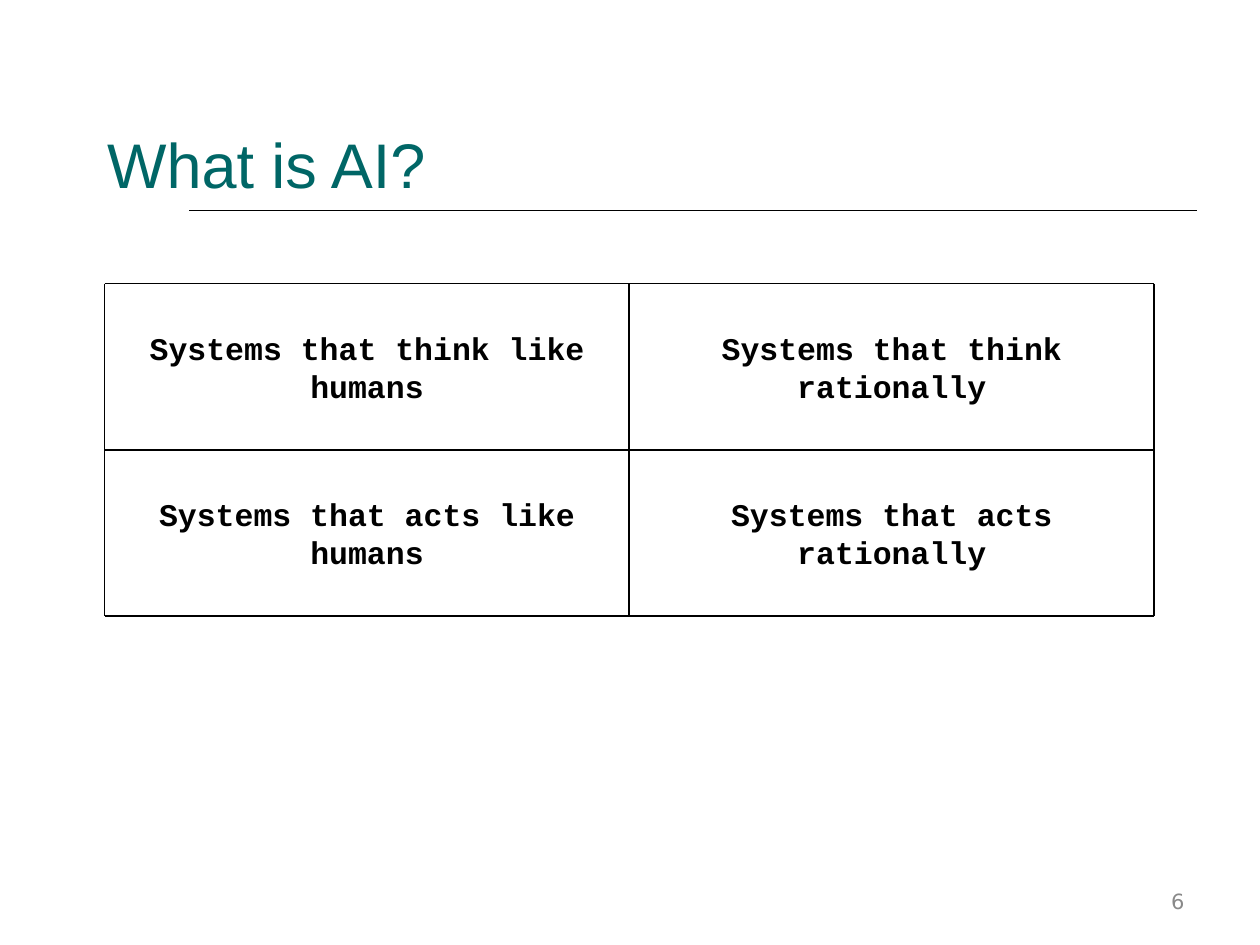
from lxml import etree
from pptx import Presentation
from pptx.dml.color import RGBColor
from pptx.enum import shapes, text
from pptx.oxml.ns import qn
from pptx.util import Inches, Pt

BLACK, TEAL, GREY = "000000", "006666", "898989"


def rgb(value):
    return RGBColor.from_string(value)


def write(sp, content, font="Arial", size=18, color=BLACK, bold=False,
          align=text.PP_ALIGN.LEFT):
    """Fill a shape with one formatted paragraph, centred vertically."""
    tf = sp.text_frame
    tf.word_wrap = True
    tf.auto_size = text.MSO_AUTO_SIZE.NONE
    tf.vertical_anchor = text.MSO_ANCHOR.MIDDLE
    p = tf.paragraphs[0]
    p.alignment = align
    r = p.add_run()
    r.text = content
    r.font.name, r.font.size, r.font.bold = font, Pt(size), bold
    r.font.color.rgb = rgb(color)


def add_line(s, x1, y1, x2, y2):
    line = s.shapes.add_connector(shapes.MSO_CONNECTOR.STRAIGHT,
                                  Inches(x1), Inches(y1), Inches(x2), Inches(y2))
    line.line.color.rgb = rgb(BLACK)
    line.line.width = Pt(1)
    etree.SubElement(line._element.spPr, qn("a:effectLst"))


def add_title(s, content, x, y, w, h):
    # Rule under the title, then the title itself
    add_line(s, x + 0.75, y + 1, x + w + 0.25, y + 1)
    sp = s.shapes.title
    sp.left, sp.top, sp.width, sp.height = map(Inches, (x, y, w, h))
    write(sp, content, size=36, color=TEAL)


def add_page_number(s, number, x, y, w, h):
    sp = s.shapes.add_textbox(*map(Inches, (x, y, w, h)))
    write(sp, number, font="DejaVu Sans", size=12, color=GREY,
          align=text.PP_ALIGN.RIGHT)


def add_grid(s, rows, x, y, w, h):
    """Draw a ruled grid of centred statements."""
    n_rows, n_cols = len(rows), len(rows[0])
    cell_w, cell_h = w / n_cols, h / n_rows
    # Statements
    for i, row in enumerate(rows):
        for j, statement in enumerate(row):
            sp = s.shapes.add_textbox(Inches(x + j * cell_w), Inches(y + i * cell_h),
                                      Inches(cell_w), Inches(cell_h))
            write(sp, statement, font="Courier New", bold=True,
                  align=text.PP_ALIGN.CENTER)
    # Rules
    for i in range(n_rows + 1):
        add_line(s, x, y + i * cell_h, x + w, y + i * cell_h)
    for j in range(n_cols + 1):
        add_line(s, x + j * cell_w, y, x + j * cell_w, y + h)


def main():
    prs = Presentation()
    prs.slide_width, prs.slide_height = Inches(10), Inches(7.5)
    s = prs.slides.add_slide(prs.slide_layouts[5])
    add_title(s, "What is AI?", 0.75, 0.67, 8.5, 1.25)
    add_grid(s, [
        ["Systems that think like humans", "Systems that think rationally"],
        ["Systems that acts like humans", "Systems that acts rationally"],
    ], 0.83, 2.25, 8.33, 2.64)
    add_page_number(s, "6", 7.17, 6.95, 2.33, 0.4)
    prs.save("out.pptx")


if __name__ == "__main__":
    main()
